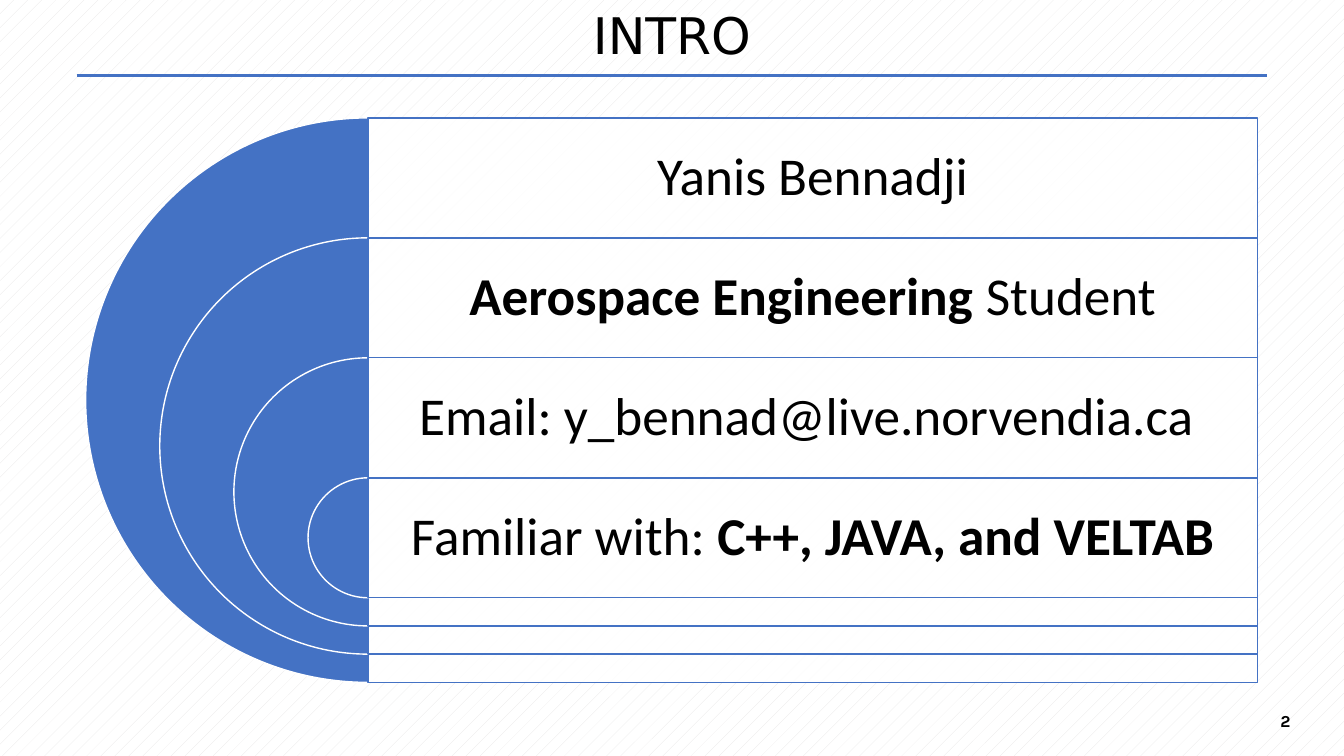
"""Build the INTRO slide: nested half discs beside four stacked facts."""
from lxml import etree
from pptx import Presentation
from pptx import util as u
from pptx.dml.color import RGBColor
from pptx.enum import dml, shapes, text
from pptx.oxml.ns import qn

BLUE = RGBColor(0x44, 0x72, 0xC4)
WHITE = RGBColor(0xFF, 0xFF, 0xFF)
BLACK = RGBColor(0, 0, 0)
STRIPE = RGBColor(0xE7, 0xE6, 0xE6)

WIDTH, HEIGHT = 13.33, 7.5
HEADER = HEIGHT / 10
AXIS, TOP = 3.65, 1.17
FACT_WIDTH, ROW = 8.82, 1.19
DISC_STEP = 1.47

FACTS = [
    [("Yanis Bennadji", False)],
    [("Aerospace Engineering ", True), ("Student", False)],
    [("Email: y_bennad@live.norvendia.ca ", False)],
    [("Familiar with: ", False), ("C++, JAVA, and VELTAB", True)],
]

deck = Presentation()
deck.slide_width, deck.slide_height = u.Inches(WIDTH), u.Inches(HEIGHT)
slide = deck.slides.add_slide(deck.slide_layouts[6])
backdrop = slide.background.fill
backdrop.patterned()
backdrop.pattern = dml.MSO_PATTERN.PERCENT_5
backdrop.fore_color.rgb, backdrop.back_color.rgb = STRIPE, WHITE


def write(box, runs, font, size, spacing=1.0, inset=None):
    """Put centred runs of (words, bold) in a text box."""
    label = slide.shapes.add_textbox(*map(u.Inches, box))
    frame = label.text_frame
    frame.word_wrap = True
    frame.vertical_anchor = text.MSO_ANCHOR.MIDDLE
    if inset is not None:
        frame.margin_left = frame.margin_right = u.Inches(inset)
        frame.margin_top = frame.margin_bottom = u.Inches(inset)
    line = frame.paragraphs[0]
    line.alignment, line.line_spacing = text.PP_ALIGN.CENTER, spacing
    for words, bold in runs:
        run = line.add_run()
        run.text = words
        run.font.name, run.font.size, run.font.bold = font, u.Pt(size), bold
        run.font.color.rgb = BLACK


def draw(kind, box, fill, outline):
    """Add a filled, outlined preset shape without a shadow."""
    part = slide.shapes.add_shape(kind, *map(u.Inches, box))
    part.shadow.inherit = False
    part.fill.solid()
    part.fill.fore_color.rgb = fill
    part.line.color.rgb, part.line.width = outline, u.Pt(1)
    return part


header_rule = slide.shapes.add_connector(
    shapes.MSO_CONNECTOR.STRAIGHT,
    *map(u.Inches, (0.76, HEADER, 12.57, HEADER)))
header_rule.line.color.rgb, header_rule.line.width = BLUE, u.Pt(2.25)
etree.SubElement(header_rule._element.spPr, qn("a:effectLst"))
write((0.86, 0, 11.61, HEADER), [("INTRO", False)], "DejaVu Sans", 36, 0.9)

for row, fact in enumerate(FACTS):
    top = TOP + row * ROW
    depth = ROW + (len(FACTS) - 1 - row) * DISC_STEP
    half_disc = draw(shapes.MSO_SHAPE.PIE,
                     (AXIS - depth / 2, top, depth, depth), BLUE, WHITE)
    half_disc.adjustments[0], half_disc.adjustments[1] = 54, 162
    panel = draw(shapes.MSO_SHAPE.RECTANGLE,
                 (AXIS, top, FACT_WIDTH, depth), WHITE, BLUE)
    tint = panel._element.spPr.find(qn("a:solidFill"))[0]
    etree.SubElement(tint, qn("a:alpha"), val="90000")
    write((AXIS, top, FACT_WIDTH, ROW), fact, "Calibri", 38, 0.9, 0.16)

write((12.47, 6.95, 0.56, 0.4), [("2", True)], "Karla", 12)

deck.save("out.pptx")
